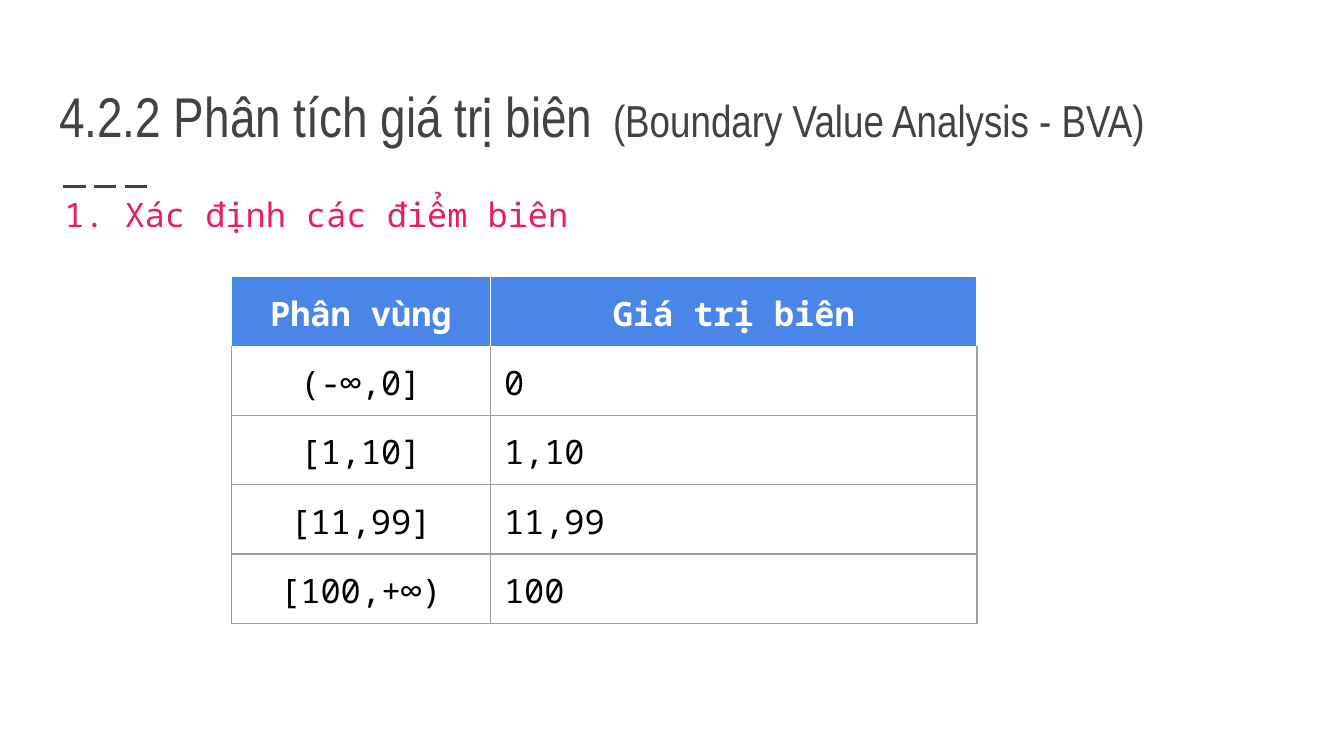
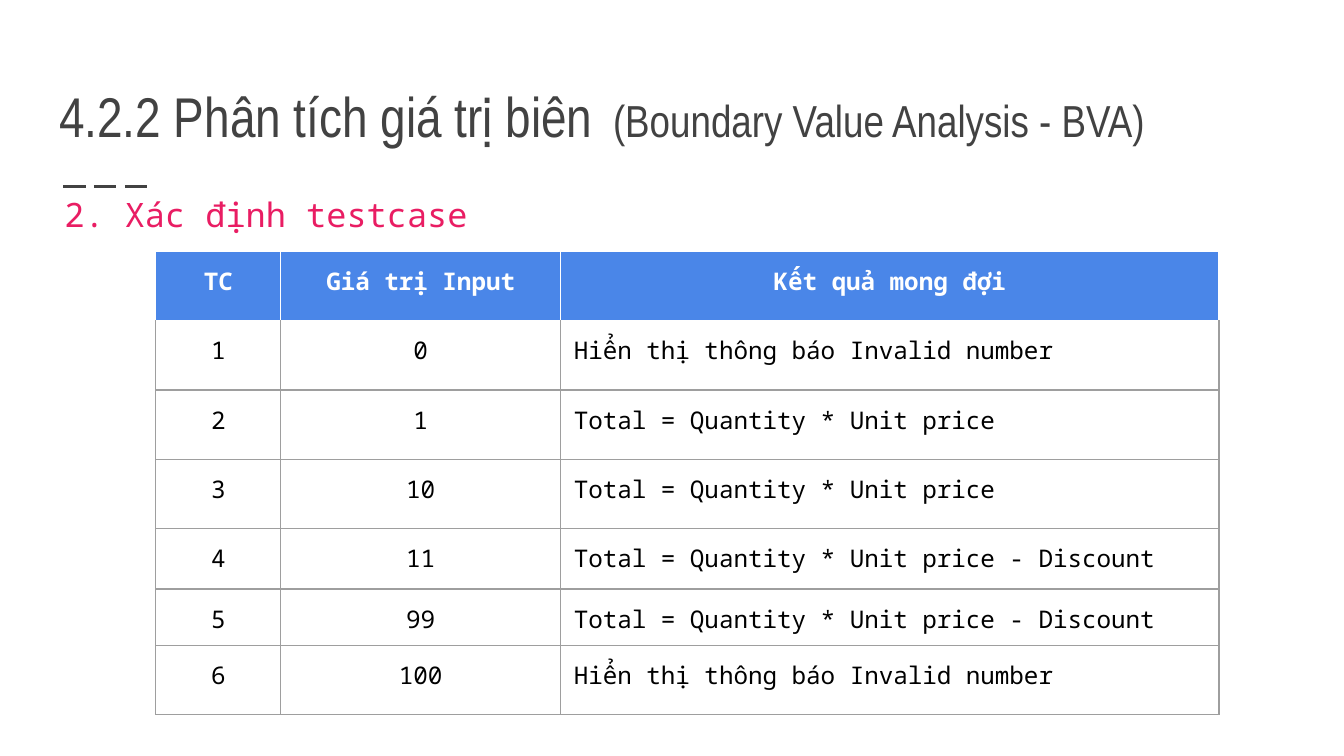
from pptx import Presentation
from pptx.dml.color import RGBColor
from pptx.enum.dml import MSO_LINE
from pptx.enum.shapes import MSO_CONNECTOR
from pptx.enum.text import MSO_ANCHOR, MSO_AUTO_SIZE, PP_ALIGN
from pptx.oxml.ns import qn
from pptx.util import Inches, Pt
from lxml.etree import SubElement

# Shared style
DARK = RGBColor(0x42, 0x42, 0x42)
PINK = RGBColor(0xE9, 0x1D, 0x63)
BLUE = RGBColor(0x4A, 0x86, 0xE8)
GRAY = RGBColor(0x9E, 0x9E, 0x9E)
WHITE = RGBColor(0xFF, 0xFF, 0xFF)
BLACK = RGBColor(0, 0, 0)
SANS, MONO = "Arial Narrow", "Noto Sans Mono"
INSET = Inches(0.1)
ROW = 2.58 / 5  # five standard rows fill 2.58 inches

# Content
TITLE = [
    ("4.2.2 Phân tích giá trị biên", 30, SANS),
    (" ", 18, MONO),
    ("(Boundary Value Analysis - BVA)", 24, SANS),
]
INVALID = "Hiển thị thông báo Invalid number"
TOTAL = "Total = Quantity * Unit price"
DISCOUNTED = TOTAL + " - Discount"

SLIDES = [
    {
        "heading": "1. Xác định các điểm biên",
        "left": 1.72, "top": 2.06, "size": 18,
        "cols": [1.93, 3.62],
        "heights": [ROW] * 5,
        "rows": [
            ("Phân vùng", "Giá trị biên"),
            ("(-∞,0]", "0"),
            ("[1,10]", "1,10"),
            ("[11,99]", "11,99"),
            ("[100,+∞)", "100"),
        ],
    },
    {
        "heading": "2. Xác định testcase",
        "left": 1.16, "top": 1.87, "size": 13,
        "cols": [0.93, 2.08, 4.9],
        "heights": [ROW] * 4 + [0.45, 0.37, ROW],
        "rows": [
            ("TC", "Giá trị Input", "Kết quả mong đợi"),
            ("1", "0", INVALID),
            ("2", "1", TOTAL),
            ("3", "10", TOTAL),
            ("4", "11", DISCOUNTED),
            ("5", "99", DISCOUNTED),
            ("6", "100", INVALID),
        ],
    },
]


def add_run(p, text, size, font, color, bold=False):
    r = p.add_run()
    r.text = text
    r.font.size, r.font.name, r.font.bold = Pt(size), font, bold
    r.font.color.rgb = color
    r._r.get_or_add_rPr().set("kern", "0")  # no pair kerning


def set_insets(box):
    box.margin_left = box.margin_right = INSET
    box.margin_top = box.margin_bottom = INSET


def set_borders(cell, **colors):
    """Draw the cell edges; keys are L, R, T and B."""
    tc_pr = cell._tc.get_or_add_tcPr()
    for side in "LRTB":
        ln = SubElement(tc_pr, qn(f"a:ln{side}"), w=str(Pt(0.75)))
        fill = SubElement(ln, qn("a:solidFill"))
        SubElement(fill, qn("a:srgbClr"), val=str(colors[side]))


def add_rule(slide):
    line = slide.shapes.add_connector(
        MSO_CONNECTOR.STRAIGHT, Inches(0.47), Inches(1.39), Inches(1.14), Inches(1.39))
    line.line.color.rgb = DARK
    line.line.width = Pt(1.5)
    line.line.dash_style = MSO_LINE.LONG_DASH
    SubElement(line._element.spPr, qn("a:effectLst"))


def add_title(slide):
    sp = slide.shapes.title
    sp.left, sp.top, sp.width, sp.height = map(Inches, (0.34, 0.41, 9.32, 0.8))
    tf = sp.text_frame
    tf.auto_size = MSO_AUTO_SIZE.NONE
    tf.word_wrap = True
    tf.vertical_anchor = MSO_ANCHOR.BOTTOM
    set_insets(tf)
    p = tf.paragraphs[0]
    p.alignment = PP_ALIGN.LEFT
    for text, size, font in TITLE:
        add_run(p, text, size, font, DARK)


def add_heading(slide, text):
    sp = slide.shapes.add_textbox(*map(Inches, (0.38, 1.3, 8.88, 0.5)))
    tf = sp.text_frame
    tf.word_wrap = True
    tf.auto_size = MSO_AUTO_SIZE.SHAPE_TO_FIT_TEXT
    set_insets(tf)
    p = tf.paragraphs[0]
    p.line_spacing = 1.15
    p.space_after = Pt(12)
    add_run(p, text, 18, MONO, PINK)


def add_table(slide, data):
    rows, cols, heights = data["rows"], data["cols"], data["heights"]
    table = slide.shapes.add_table(
        len(rows), len(cols), Inches(data["left"]), Inches(data["top"]),
        Inches(sum(cols)), Inches(sum(heights))).table
    table.horz_banding = False
    for column, width in zip(table.columns, cols):
        column.width = Inches(width)
    for i, (row, height) in enumerate(zip(rows, heights)):
        table.rows[i].height = Inches(height)
        header = i == 0
        edge = WHITE if header else GRAY
        for j, text in enumerate(row):
            cell = table.cell(i, j)
            set_insets(cell)
            set_borders(cell, L=edge, R=edge, B=edge, T=WHITE if i < 2 else GRAY)
            if header:
                cell.fill.solid()
                cell.fill.fore_color.rgb = BLUE
            else:
                cell.fill.background()
            # Only the last column of the body is left-aligned
            left = not header and j == len(cols) - 1
            p = cell.text_frame.paragraphs[0]
            p.alignment = PP_ALIGN.LEFT if left else PP_ALIGN.CENTER
            add_run(p, text, data["size"], MONO, WHITE if header else BLACK, header)


def main():
    prs = Presentation()
    prs.slide_width = Inches(10)
    prs.slide_height = prs.slide_width * 9 // 16
    title_only = prs.slide_layouts[5]
    for data in SLIDES:
        slide = prs.slides.add_slide(title_only)
        add_rule(slide)
        add_title(slide)
        add_heading(slide, data["heading"])
        add_table(slide, data)
    prs.save("out.pptx")


if __name__ == "__main__":
    main()
